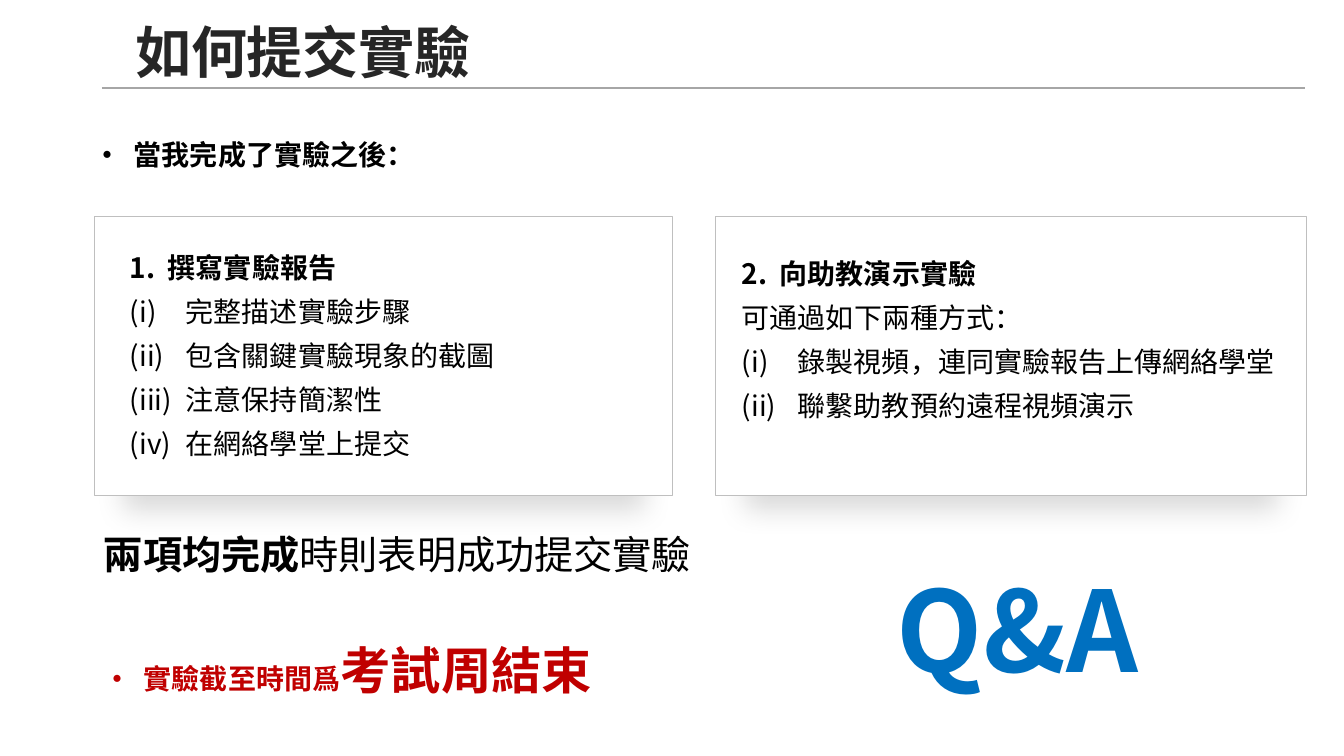
from lxml import etree
from pptx import Presentation
from pptx.dml.color import RGBColor
from pptx.enum.shapes import MSO_CONNECTOR, MSO_SHAPE
from pptx.enum.text import MSO_ANCHOR, MSO_AUTO_SIZE, PP_ALIGN
from pptx.oxml.ns import qn
from pptx.util import Pt

EMU_PER_PX = 12192000 / 1344
RECTANGLE = MSO_SHAPE.RECTANGLE
STRAIGHT = MSO_CONNECTOR.STRAIGHT
MIDDLE, TOP = MSO_ANCHOR.MIDDLE, MSO_ANCHOR.TOP
LEFT, CENTER = PP_ALIGN.LEFT, PP_ALIGN.CENTER
NO_AUTOFIT = MSO_AUTO_SIZE.NONE
TITLE_ONLY = 5


def px(length):
    return round(length * EMU_PER_PX)


def color(value):
    return RGBColor.from_string(value)


def add_element(parent, tag, **attributes):
    element = etree.SubElement(parent, qn(tag))
    for name, value in attributes.items():
        element.set(name, str(value))
    return element


class SlideBuilder:
    """Holds the style and the current slide."""

    font_name = "Noto Sans CJK SC"
    black, red, blue = "000000", "C00000", "0070C0"
    line_ratio = 1.57
    list_indent = 56

    def __init__(self, presentation):
        self.slide = presentation.slides.add_slide(presentation.slide_layouts[TITLE_ONLY])

    def style(self, paragraph, size, bold, text_color):
        font = paragraph.font
        font.size = Pt(size)
        font.bold = bold
        font.color.rgb = color(text_color)
        font.name = self.font_name
        add_element(font._element, "a:ea", typeface=self.font_name)

    def title(self, text, left, top, width, height):
        title = self.slide.shapes.title
        title.left, title.top, title.width, title.height = map(px, (left, top, width, height))
        frame = title.text_frame
        frame.text = text
        frame.vertical_anchor = MIDDLE
        frame.auto_size = NO_AUTOFIT
        paragraph = frame.paragraphs[0]
        paragraph.alignment = LEFT
        paragraph.line_spacing = 0.9
        self.style(paragraph, 40, True, "262626")

    def rule(self, left, right, y):
        line = self.slide.shapes.add_connector(STRAIGHT, px(left), px(y), px(right), px(y))
        line.line.color.rgb = color("A6A6A6")
        line.line.width = Pt(1)
        add_element(line._element.spPr, "a:effectLst")

    def card(self, left, top, width, height):
        card = self.slide.shapes.add_shape(RECTANGLE, *map(px, (left, top, width, height)))
        card.fill.solid()
        card.fill.fore_color.rgb = color("FFFFFF")
        card.line.color.rgb = color("BFBFBF")
        card.line.width = Pt(0.5)
        card.shadow.inherit = False
        effects = card._element.spPr.find(qn("a:effectLst"))
        shadow = add_element(effects, "a:outerShdw", blurRad=Pt(20), dist=Pt(10), dir=5400000,
                             sx=90000, sy=90000, algn="b", rotWithShape=0)
        shade = add_element(shadow, "a:srgbClr", val=self.black)
        add_element(shade, "a:alpha", val=15000)

    def text_box(self, left, top, width, height):
        box = self.slide.shapes.add_textbox(*map(px, (left, top, width, height)))
        frame = box.text_frame
        frame.word_wrap = True
        frame.auto_size = NO_AUTOFIT
        frame.vertical_anchor = TOP
        return frame

    def paragraph(self, frame, text, size=20, bold=False, text_color=black, align=LEFT,
                  tab=None, numbered=False, before=0, tail=None):
        first = frame.paragraphs[0]
        paragraph = frame.add_paragraph() if first.runs else first
        paragraph.add_run().text = text
        largest = size
        if tail:
            tail_text, tail_size, tail_bold = tail
            run = paragraph.add_run()
            run.text = tail_text
            run.font.size = Pt(tail_size)
            run.font.bold = tail_bold
            largest = max(size, tail_size)
        paragraph.alignment = align
        paragraph.line_spacing = Pt(round(largest * self.line_ratio, 1))
        if before:
            paragraph.space_before = Pt(before)
        properties = paragraph._p.get_or_add_pPr()
        if numbered:
            properties.set("marL", str(px(self.list_indent)))
            properties.set("indent", str(-px(self.list_indent)))
            add_element(properties, "a:buFontTx")
            add_element(properties, "a:buAutoNum", type="romanLcParenBoth")
        if tab:
            tabs = add_element(properties, "a:tabLst")
            add_element(tabs, "a:tab", pos=px(tab), algn="l")
        self.style(paragraph, size, bold, text_color)


def main():
    presentation = Presentation()
    presentation.slide_width, presentation.slide_height = px(1344), px(756)
    builder = SlideBuilder(presentation)

    builder.title("如何提交實驗", 125, 15, 884, 80)
    builder.rule(102, 1305, 88)
    for left, width in ((715, 591), (94, 578)):
        builder.card(left, 216, width, 279)

    intro = builder.text_box(84, 122, 783, 50)
    builder.paragraph(intro, "·\t當我完成了實驗之後：", bold=True, tab=40)

    report = builder.text_box(120, 235, 452, 231)
    builder.paragraph(report, "1.\t撰寫實驗報告", bold=True, tab=38)
    for step in ("完整描述實驗步驟", "包含關鍵實驗現象的截圖", "注意保持簡潔性", "在網絡學堂上提交"):
        builder.paragraph(report, step, numbered=True)

    demo = builder.text_box(732, 241, 574, 186)
    builder.paragraph(demo, "2.\t向助教演示實驗", bold=True, tab=38)
    builder.paragraph(demo, "可通過如下兩種方式：")
    for way in ("錄製視頻，連同實驗報告上傳網絡學堂", "聯繫助教預約遠程視頻演示"):
        builder.paragraph(demo, way, numbered=True)

    summary = builder.text_box(94, 511, 783, 187)
    builder.paragraph(summary, "兩項均完成", size=28, bold=True,
                      tail=("時則表明成功提交實驗", 28, False))
    builder.paragraph(summary, "·\t實驗截至時間爲", bold=True, text_color=builder.red,
                      tab=40, before=31, tail=("考試周結束", 36, True))

    questions = builder.text_box(812, 514, 411, 169)
    builder.paragraph(questions, "Q&A", size=80, bold=True, text_color=builder.blue, align=CENTER)

    presentation.save("out.pptx")


if __name__ == "__main__":
    main()
